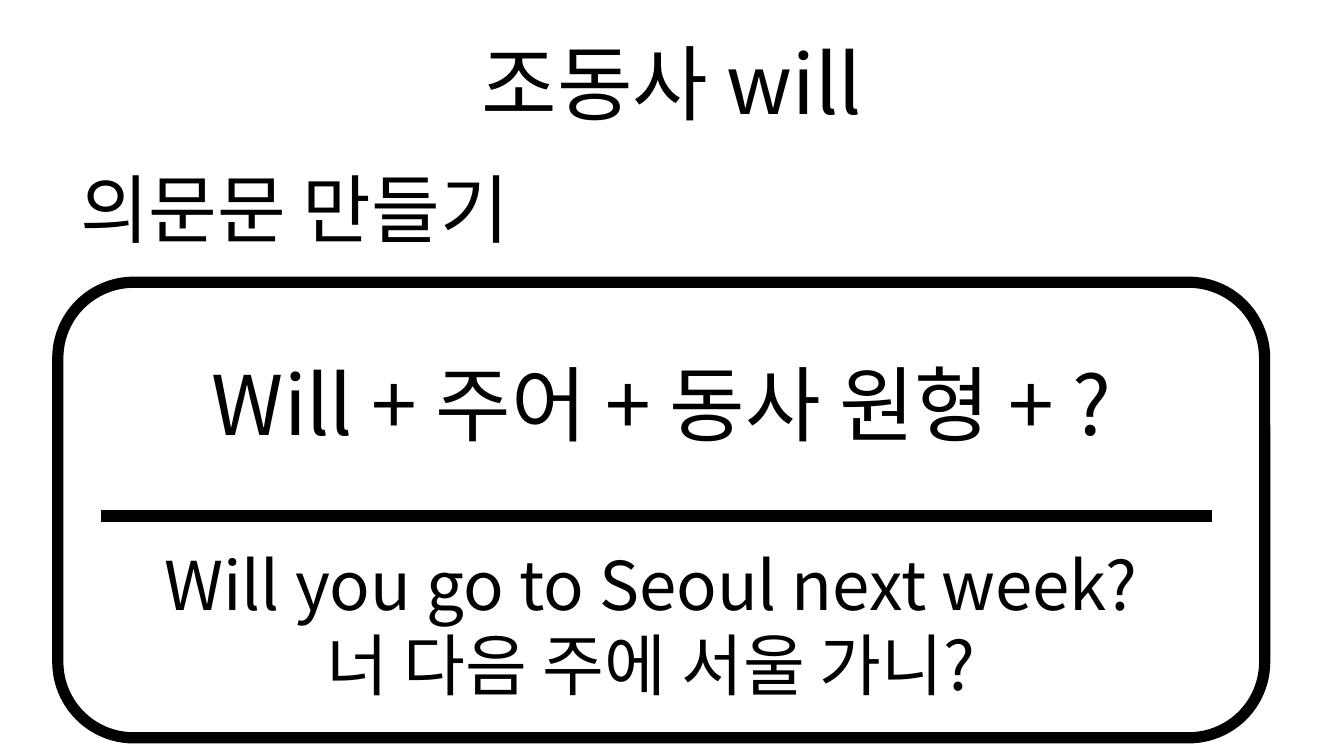
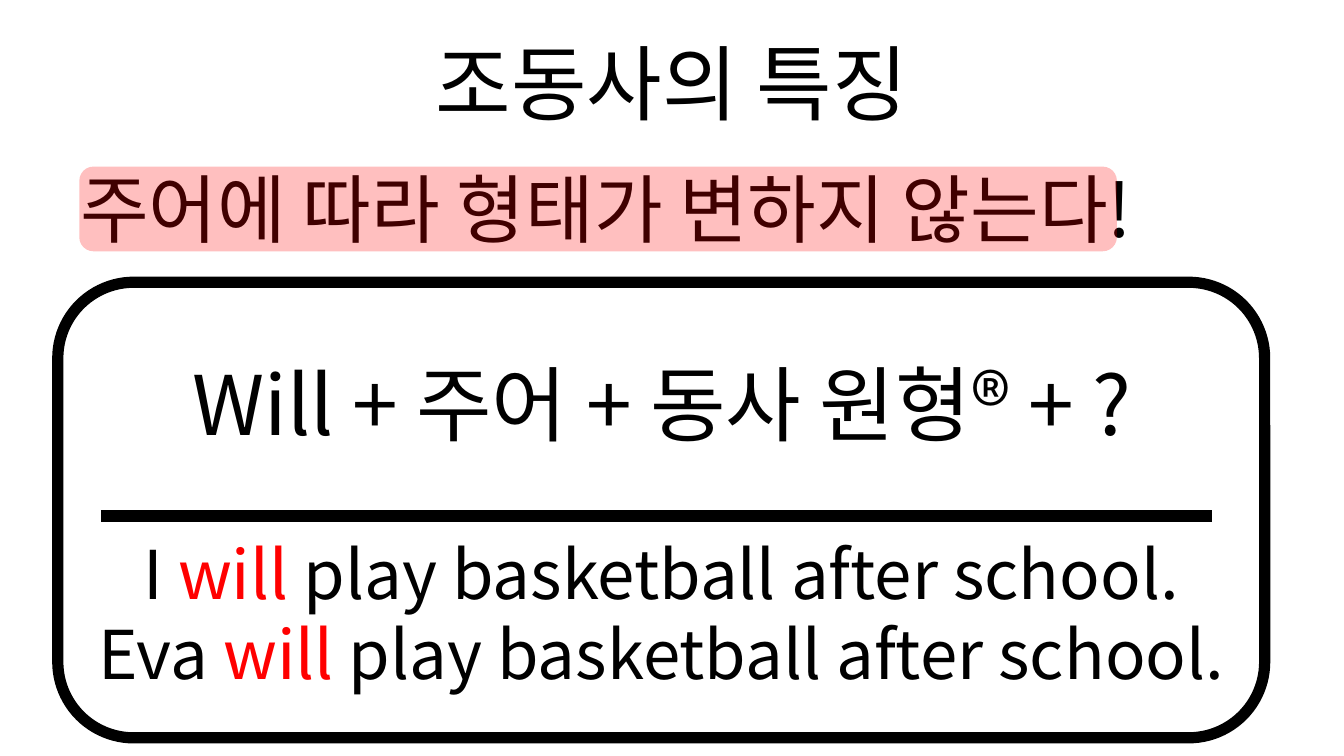
from dataclasses import dataclass

from lxml.etree import SubElement
from pptx import Presentation
from pptx.dml.color import RGBColor
from pptx.enum.shapes import MSO_CONNECTOR as Connector, MSO_SHAPE as Shape
from pptx.enum.text import MSO_ANCHOR as Anchor, MSO_AUTO_SIZE as AutoSize, PP_ALIGN as Align
from pptx.oxml.ns import qn
from pptx.shapes.autoshape import Shape as AutoShape
from pptx.slide import Slide
from pptx.util import Inches, Pt


@dataclass(frozen=True)
class Theme:
    font: str = "Noto Sans CJK KR"
    ink: RGBColor = RGBColor(0, 0, 0)
    paper: RGBColor = RGBColor(255, 255, 255)
    accent: RGBColor = RGBColor(255, 0, 0)
    accent_alpha: int = 25
    title_size: int = 44
    heading_size: int = 40
    example_size: int = 36
    stroke: int = 6


@dataclass(frozen=True)
class Area:
    left: float
    top: float
    width: float
    height: float

    def lengths(self) -> tuple[Inches, ...]:
        return tuple(Inches(value) for value in (self.left, self.top, self.width, self.height))


@dataclass(frozen=True)
class Span:
    text: str
    color: RGBColor


@dataclass(frozen=True)
class Lesson:
    title: str
    heading: str
    formula: str
    examples: list[list[Span]]
    example_area: Area
    highlight: Area | None = None


THEME = Theme()
TITLE_AREA = Area(0.5, 0.14, 9, 0.94)
HEADING_AREA = Area(0.5, 1.16, 9, 4.47)
CARD_AREA = Area(0.43, 2.1, 8.98, 3.39)
FORMULA_AREA = Area(0.83, 2.58, 8.19, 0.84)
DIVIDER = Area(0.75, 3.84, 8.27, 0)


def plain(text: str) -> list[Span]:
    return [Span(text, THEME.ink)]


def will_sentence(subject: str) -> list[Span]:
    return [
        Span(f"{subject} ", THEME.ink),
        Span("will", THEME.accent),
        Span(" play basketball after school.", THEME.ink),
    ]


LESSONS = [
    Lesson(
        title="조동사 will",
        heading="의문문 만들기",
        formula="Will + 주어 + 동사 원형 + ?",
        examples=[plain("Will you go to Seoul next week?"), plain("너 다음 주에 서울 가니?")],
        example_area=Area(0.75, 3.99, 8.19, 1.31),
    ),
    Lesson(
        title="조동사의 특징",
        heading="주어에 따라 형태가 변하지 않는다!",
        formula="Will + 주어 + 동사 원형® + ?",
        examples=[will_sentence("I"), will_sentence("Eva")],
        example_area=Area(0.51, 3.91, 8.82, 1.31),
        highlight=Area(0.59, 1.24, 7.72, 0.63),
    ),
]


def add_text(
    page: Slide,
    area: Area,
    lines: list[list[Span]],
    size: int,
    align: Align = Align.CENTER,
    anchor: Anchor = Anchor.TOP,
    grow: bool = False,
) -> None:
    frame = page.shapes.add_textbox(*area.lengths()).text_frame
    frame.word_wrap = True
    frame.vertical_anchor = anchor
    frame.auto_size = AutoSize.SHAPE_TO_FIT_TEXT if grow else AutoSize.NONE
    for index, line in enumerate(lines):
        para = frame.add_paragraph() if index else frame.paragraphs[0]
        para.alignment = align
        for span in line:
            run = para.add_run()
            run.text = span.text
            run.font.size = Pt(size)
            run.font.name = THEME.font
            run.font.color.rgb = span.color
            SubElement(run.font._element, qn("a:ea"), typeface=THEME.font)


def add_rounded(page: Slide, area: Area, fill: RGBColor) -> AutoShape:
    box = page.shapes.add_shape(Shape.ROUNDED_RECTANGLE, *area.lengths())
    box.shadow.inherit = False
    box.fill.solid()
    box.fill.fore_color.rgb = fill
    return box


def add_card(page: Slide) -> None:
    card = add_rounded(page, CARD_AREA, THEME.paper)
    card.line.color.rgb = THEME.ink
    card.line.width = Pt(THEME.stroke)


def add_divider(page: Slide) -> None:
    left, top, width, height = DIVIDER.lengths()
    divider = page.shapes.add_connector(Connector.STRAIGHT, left, top, left + width, top + height)
    divider.line.color.rgb = THEME.ink
    divider.line.width = Pt(THEME.stroke)
    SubElement(divider._element.spPr, qn("a:effectLst"))


def add_highlight(page: Slide, area: Area) -> None:
    marker = add_rounded(page, area, THEME.accent)
    marker.line.fill.background()
    color = marker._element.spPr.find(qn("a:solidFill")).find(qn("a:srgbClr"))
    SubElement(color, qn("a:alpha"), val=str(THEME.accent_alpha * 1000))


def add_lesson(page: Slide, lesson: Lesson) -> None:
    add_text(page, TITLE_AREA, [plain(lesson.title)], THEME.title_size, anchor=Anchor.MIDDLE)
    add_text(page, HEADING_AREA, [plain(lesson.heading)], THEME.heading_size, align=Align.LEFT)
    add_card(page)
    add_text(page, FORMULA_AREA, [plain(lesson.formula)], THEME.title_size, grow=True)
    add_divider(page)
    add_text(page, lesson.example_area, lesson.examples, THEME.example_size, grow=True)
    if lesson.highlight:
        add_highlight(page, lesson.highlight)


def main() -> None:
    deck = Presentation()
    deck.slide_width = Inches(10)
    deck.slide_height = Inches(10) * 9 // 16
    blank = deck.slide_layouts[6]
    for lesson in LESSONS:
        add_lesson(deck.slides.add_slide(blank), lesson)
    deck.save("out.pptx")


if __name__ == "__main__":
    main()
